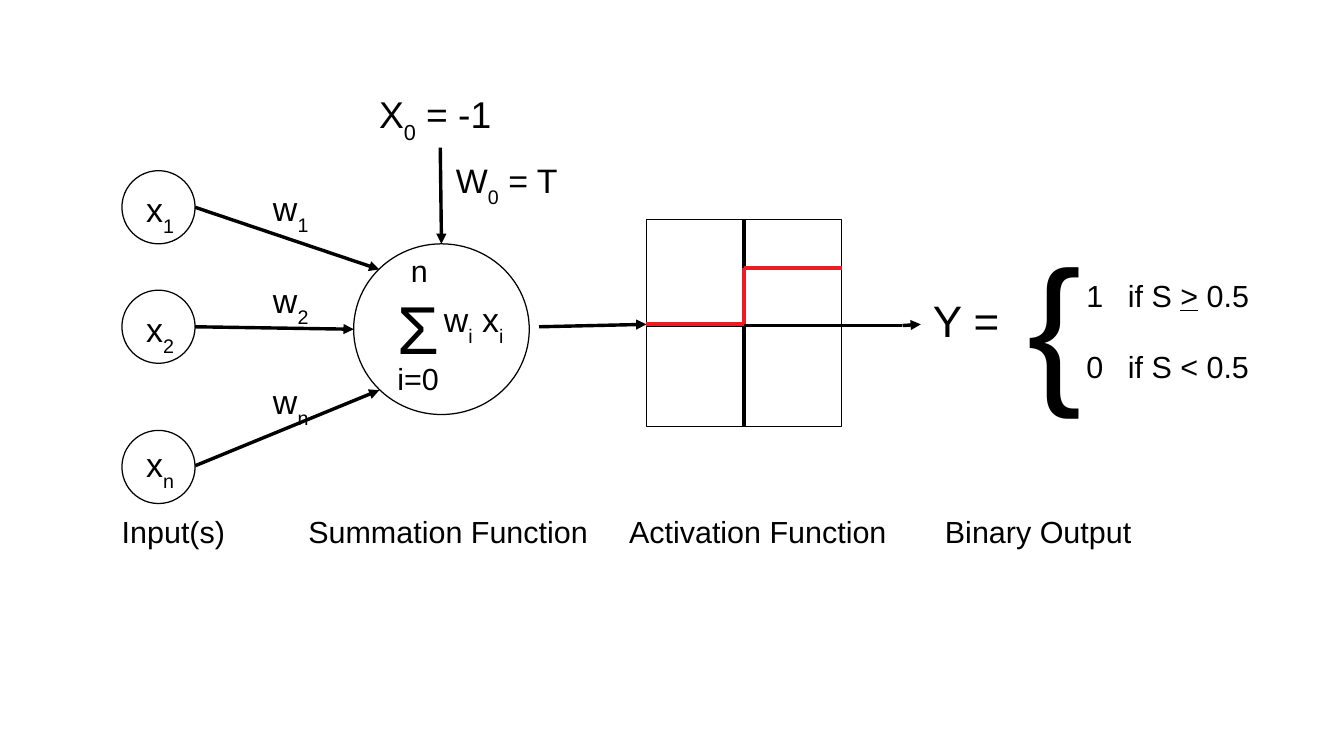
from lxml.etree import SubElement
from pptx import Presentation
from pptx.dml.color import RGBColor
from pptx.enum.shapes import MSO_CONNECTOR, MSO_SHAPE
from pptx.oxml.ns import qn
from pptx.util import Inches, Pt

COLORS = {"ink": "000000", "step": "ED1C24"}


class Diagram:
    font = "Arial"
    hairline = 0

    def __init__(self, slide):
        self.shapes = slide.shapes

    def outline(self, preset, left, top, width, height):
        shape = self.shapes.add_shape(preset, *map(Inches, (left, top, width, height)))
        shape.shadow.inherit = False
        shape.fill.background()
        self.stroke(shape.line, "ink", self.hairline)

    def stroke(self, line, color, width):
        line.color.rgb = RGBColor.from_string(COLORS[color])
        line.width = Pt(width)

    def line(self, start, end, color="ink", width=hairline, arrow=False):
        connector = self.shapes.add_connector(
            MSO_CONNECTOR.STRAIGHT, *map(Inches, (*start, *end)))
        self.stroke(connector.line, color, width)
        properties = connector._element.spPr
        if arrow:
            SubElement(properties.find(qn("a:ln")), qn("a:tailEnd"), type="triangle")
        SubElement(properties, qn("a:effectLst"))

    def text(self, content, left, top, width, height, size=20,
             underline=False, tabs=(), gap=0):
        """Segments between ~ marks alternate plain and subscript or underlined."""
        frame = self.shapes.add_textbox(
            *map(Inches, (left, top, width, height))).text_frame
        frame.word_wrap = True
        for index, row in enumerate(content.split("\n")):
            paragraph = frame.add_paragraph() if index else frame.paragraphs[0]
            if index:
                paragraph.space_before = Pt(gap)
            if tabs:
                stops = SubElement(paragraph._p.get_or_add_pPr(), qn("a:tabLst"))
                for stop in tabs:
                    SubElement(stops, qn("a:tab"), pos=str(Inches(stop)), algn="l")
            for position, segment in enumerate(row.split("~")):
                run = paragraph.add_run()
                run.text = segment
                run.font.name = self.font
                run.font.size = Pt(size)
                run.font.color.rgb = RGBColor.from_string(COLORS["ink"])
                if position % 2 and underline:
                    run.font.underline = True
                elif position % 2:
                    run._r.get_or_add_rPr().set("baseline", "-33000")


def main():
    presentation = Presentation()
    presentation.slide_width = Inches(11.02)
    presentation.slide_height = Inches(6.2)
    diagram = Diagram(presentation.slides.add_slide(presentation.slide_layouts[6]))

    inputs = [
        ("1", 1.4, 1.5, 1.49, (1.6, 1.7), (3.11, 2.21)),
        ("2", 2.38, 2.48, 2.24, (1.6, 2.68), (2.9, 2.7)),
        ("n", 3.53, 3.59, 3.07, (1.6, 3.82), (3.11, 3.2)),
    ]
    for index, node_top, name_top, weight_top, start, end in inputs:
        diagram.outline(MSO_SHAPE.OVAL, 1, node_top, 0.6, 0.6)
        diagram.text(f"x~{index}", 1.1, name_top, 0.6, 0.48)
        diagram.line(start, end, arrow=True)
        diagram.text(f"w~{index}", 2.14, weight_top, 0.6, 0.48)

    diagram.outline(MSO_SHAPE.OVAL, 2.9, 2, 1.44, 1.4)
    diagram.text("Σ", 3.16, 2.3, 1, 0.72, size=40)
    diagram.text("i=0", 3.16, 2.9, 0.6, 0.5, size=18)
    diagram.text("n", 3.27, 2.02, 0.49, 0.38, size=18)
    diagram.text("w~i~ x~i", 3.54, 2.4, 0.88, 0.55)

    diagram.text("X~0~ = -1", 3.01, 0.7, 1.21, 0.51, size=22)
    diagram.text("W~0~ = T", 3.64, 1.26, 1.06, 0.54)
    diagram.line((3.61, 1.21), (3.62, 2), arrow=True)

    diagram.line((4.42, 2.68), (5.3, 2.66), arrow=True)
    diagram.outline(MSO_SHAPE.RECTANGLE, 5.3, 1.8, 1.6, 1.7)
    diagram.line((5.3, 2.67), (7.4, 2.67))
    diagram.line((6.1, 1.8), (6.1, 3.5))
    step_corners = [(5.3, 2.66), (6.1, 2.66), (6.1, 2.2), (6.9, 2.2)]
    for start, end in zip(step_corners, step_corners[1:]):
        diagram.line(start, end, color="step", width=2.3)
    diagram.line((7.4, 2.67), (7.55, 2.66), arrow=True)

    diagram.text("Y =", 7.55, 2.36, 0.78, 0.6, size=26)
    diagram.text("{", 8.33, 1.78, 0.7, 1.6, size=96)
    diagram.text("1\tif S ~>~ 0.5\n0\tif S < 0.5", 8.81, 2.22, 1.6, 0.94,
                 size=18, underline=True, tabs=(0.34,), gap=20.7)
    diagram.text("Input(s)\tSummation Function\tActivation Function\tBinary Output",
                 0.9, 4.16, 9.2, 0.38, size=18, tabs=(1.53, 4.16, 6.75))

    presentation.save("out.pptx")


if __name__ == "__main__":
    main()
